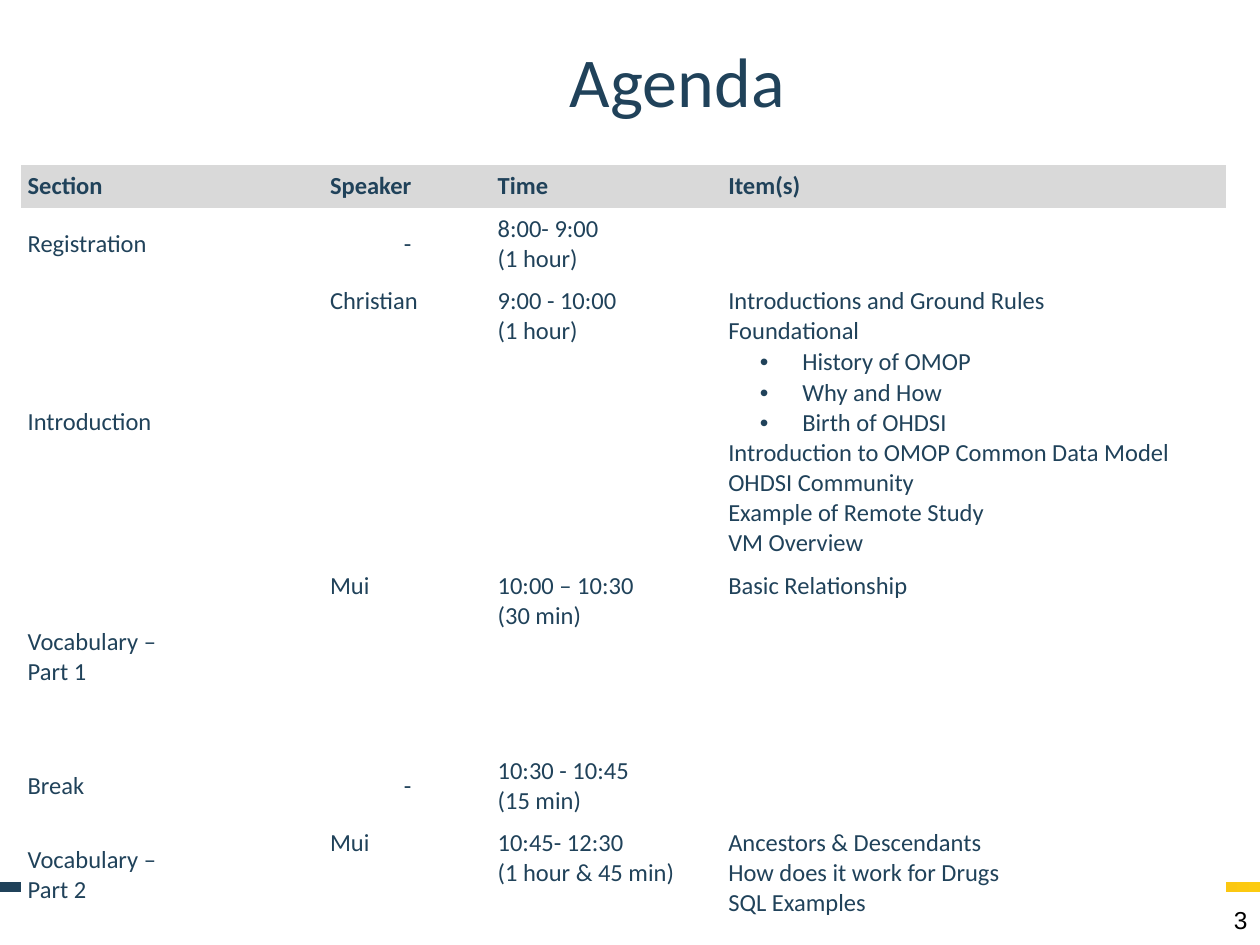
import pptx
import pptx.util
import pptx.dml.color
import pptx.enum.shapes
import pptx.enum.text
import pptx.oxml
import pptx.oxml.ns
import lxml.etree

Pt = pptx.util.Pt
Align = pptx.enum.text.PP_ALIGN
Anchor = pptx.enum.text.MSO_ANCHOR
qn = pptx.oxml.ns.qn

NAVY = "20425A"
PLAIN = "{2D5ABB26-0587-4C30-8999-92F81FD0307C}"
STOPS = [(0, NAVY), (44, NAVY), (55, "EB6622"), (100, "FCCB10")]
COLS = [172.8, 95.8, 131.8, 288]
HIGHS = [24.5, 41.4, 162.5, 105.8, 41.4, 60.5]
FILLS = ["D9D9D9", None, None, None, None, "FFFFFF"]
ROWS = [
    ["Section", "Speaker", "Time", "Item(s)"],
    ["Registration", "-", "8:00- 9:00\v(1 hour)", ""],
    ["Introduction", "Christian", "9:00 - 10:00\v(1 hour)",
     "Introductions and Ground Rules\nFoundational\n"
     "• History of OMOP\n• Why and How\n• Birth of OHDSI\n"
     "Introduction to OMOP Common Data Model\nOHDSI Community\n"
     "Example of Remote Study\nVM Overview"],
    ["Vocabulary –\vPart 1", "Mui", "10:00 – 10:30\v(30 min)",
     "Basic Relationship"],
    ["Break", "-", "10:30 - 10:45\v(15 min)", ""],
    ["Vocabulary –\vPart 2", "Mui", "10:45- 12:30\v(1 hour & 45 min)",
     "Ancestors & Descendants\nHow does it work for Drugs\nSQL Examples"],
]


def color(code):
    return pptx.dml.color.RGBColor.from_string(code)


def style(para, size, face="Calibri", code=NAVY, bold=False):
    for item in [para, *para.runs]:
        item.font.size = Pt(size)
        item.font.name = face
        item.font.bold = bold
        item.font.color.rgb = color(code)


def add_bar(slide, box):
    bar = slide.shapes.add_shape(
        pptx.enum.shapes.MSO_SHAPE.RECTANGLE, *map(Pt, box))
    bar.shadow.inherit = False
    bar.line.fill.background()
    bar.fill.gradient()
    bar.fill.gradient_angle = 0
    stops = bar.element.spPr.find(qn("a:gradFill")).find(qn("a:gsLst"))
    for old in list(stops):
        stops.remove(old)
    for place, code in STOPS:
        stop = lxml.etree.SubElement(stops, qn("a:gs"), pos=str(place * 1000))
        lxml.etree.SubElement(stop, qn("a:srgbClr"), val=code)


def add_label(slide, box, text, align, size, face, code):
    frame = slide.shapes.add_textbox(*map(Pt, box)).text_frame
    frame.word_wrap = True
    frame.vertical_anchor = Anchor.MIDDLE
    frame.text = text
    para = frame.paragraphs[0]
    para.alignment = align
    style(para, size, face, code)


def add_bullet(para):
    para.text = para.text[2:]
    props = para._p.get_or_add_pPr()
    props.set("marL", str(Pt(42.3)))
    props.set("indent", str(Pt(-24.3)))
    para.space_before = Pt(0.5)
    lxml.etree.SubElement(props, qn("a:buFont"), typeface="Arial")
    lxml.etree.SubElement(props, qn("a:buChar"), char="•")


def fill_cell(cell, text, code, mid, bold):
    cell.margin_left = cell.margin_right = Pt(3.6)
    cell.margin_top = cell.margin_bottom = Pt(3.6)
    cell.vertical_anchor = Anchor.MIDDLE if mid else Anchor.TOP
    if code:
        cell.fill.solid()
        cell.fill.fore_color.rgb = color(code)
    else:
        cell.fill.background()
    cell.text_frame.text = text
    for para in cell.text_frame.paragraphs:
        if para.text.startswith("•"):
            add_bullet(para)
        if text == "-":
            para.alignment = Align.CENTER
        style(para, 14, bold=bold)


def add_agenda(slide, left, top):
    table = slide.shapes.add_table(
        len(ROWS), len(COLS), Pt(left), Pt(top),
        Pt(sum(COLS)), Pt(sum(HIGHS))).table
    table.horz_banding = False
    table.first_row = False
    table._tbl.tblPr.find(qn("a:tableStyleId")).text = PLAIN
    for col, wide in zip(table.columns, COLS):
        col.width = Pt(wide)
    for r, (row, high, code) in enumerate(zip(ROWS, HIGHS, FILLS)):
        table.rows[r].height = Pt(high)
        for c, text in enumerate(row):
            mid = r > 0 and (c == 0 or text == "-")
            fill_cell(table.cell(r, c), text, code, mid, r == 0)


def main():
    deck = pptx.Presentation()
    deck.slide_width, deck.slide_height = Pt(720), Pt(540)
    slide = deck.slides.add_slide(deck.slide_layouts[6])
    add_bar(slide, (0, 504, 720, 5.76))
    add_label(slide, (90, 12.2, 594, 66.2), "Agenda",
              Align.CENTER, 40, "Calibri", NAVY)
    add_label(slide, (552.2, 511.2, 167.8, 28.8), "3",
              Align.RIGHT, 14, "Arial", "000000")
    add_agenda(slide, 12.2, 94.3)
    deck.save("out.pptx")


if __name__ == "__main__":
    main()
